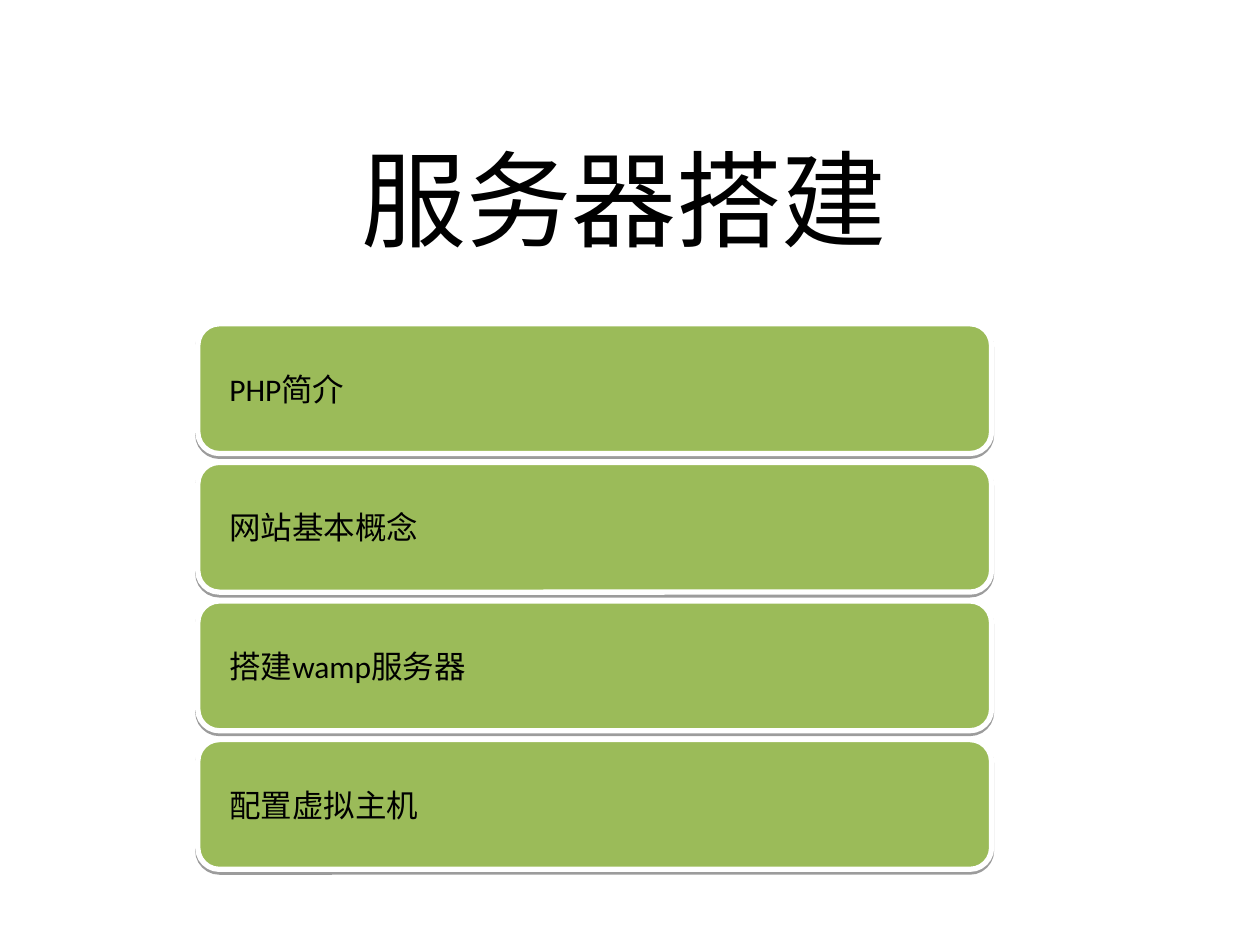
from dataclasses import dataclass

from lxml.etree import SubElement
from pptx import Presentation
from pptx.dml.color import RGBColor
from pptx.enum.shapes import MSO_SHAPE as Shape
from pptx.enum.text import MSO_ANCHOR as Anchor, MSO_AUTO_SIZE as AutoSize, PP_ALIGN as Align
from pptx.oxml.ns import qn
from pptx.util import Inches, Pt


@dataclass(frozen=True)
class Theme:
    font: str = "Calibri"
    text: str = "000000"
    bar: str = "9BBB59"
    outline: str = "FFFFFF"
    shadow: str = "000000"
    title_size: int = 60
    bar_size: int = 18


class SlideBuilder:
    def __init__(self, page, theme):
        self.page = page
        self.theme = theme

    def set_text(self, box, text, size, align, left_inset=0.1):
        frame = box.text_frame
        frame.word_wrap = True
        frame.margin_left, frame.margin_right = Inches(left_inset), Inches(0.1)
        frame.margin_top = frame.margin_bottom = Inches(0.05)
        para = frame.paragraphs[0]
        para.text = text
        para.alignment = align
        para.font.name = self.theme.font
        para.font.size = Pt(size)
        para.font.color.rgb = RGBColor.from_string(self.theme.text)
        return frame

    def title(self, text, left, top, width, height):
        box = self.page.shapes.add_textbox(
            Inches(left), Inches(top), Inches(width), Inches(height))
        frame = self.set_text(box, text, self.theme.title_size, Align.CENTER)
        frame.auto_size = AutoSize.SHAPE_TO_FIT_TEXT

    def bar(self, text, left, top, width, height):
        box = self.page.shapes.add_shape(
            Shape.ROUNDED_RECTANGLE,
            Inches(left), Inches(top), Inches(width), Inches(height))
        box.fill.solid()
        box.fill.fore_color.rgb = RGBColor.from_string(self.theme.bar)
        box.line.color.rgb = RGBColor.from_string(self.theme.outline)
        box.line.width = Pt(3)
        self.drop_shadow(box)
        frame = self.set_text(box, text, self.theme.bar_size, Align.LEFT, left_inset=0.2)
        frame.vertical_anchor = Anchor.MIDDLE

    def drop_shadow(self, box):
        box.shadow.inherit = False
        effects = box.element.spPr.find(qn("a:effectLst"))
        # Straight down, in 60000ths of a degree
        shadow = SubElement(effects, qn("a:outerShdw"), blurRad="0",
                            dist=str(Pt(1.6)), dir=str(90 * 60000), rotWithShape="0")
        color = SubElement(shadow, qn("a:srgbClr"), val=self.theme.shadow)
        SubElement(color, qn("a:alpha"), val="38000")


def main():
    deck = Presentation()
    deck.slide_width, deck.slide_height = Inches(10), Inches(7.5)
    page = deck.slides.add_slide(deck.slide_layouts[6])
    builder = SlideBuilder(page, Theme())

    # Title
    builder.title("服务器搭建", 0.96, 1.02, 7.98, 1.1)

    # Agenda bars, evenly stacked
    topics = ["PHP简介", "网站基本概念", "搭建wamp服务器", "配置虚拟主机"]
    first_top, pitch = 2.57, 1.1
    for index, topic in enumerate(topics):
        builder.bar(topic, 1.57, first_top + index * pitch, 6.3, 1.03)

    deck.save("out.pptx")


if __name__ == "__main__":
    main()
